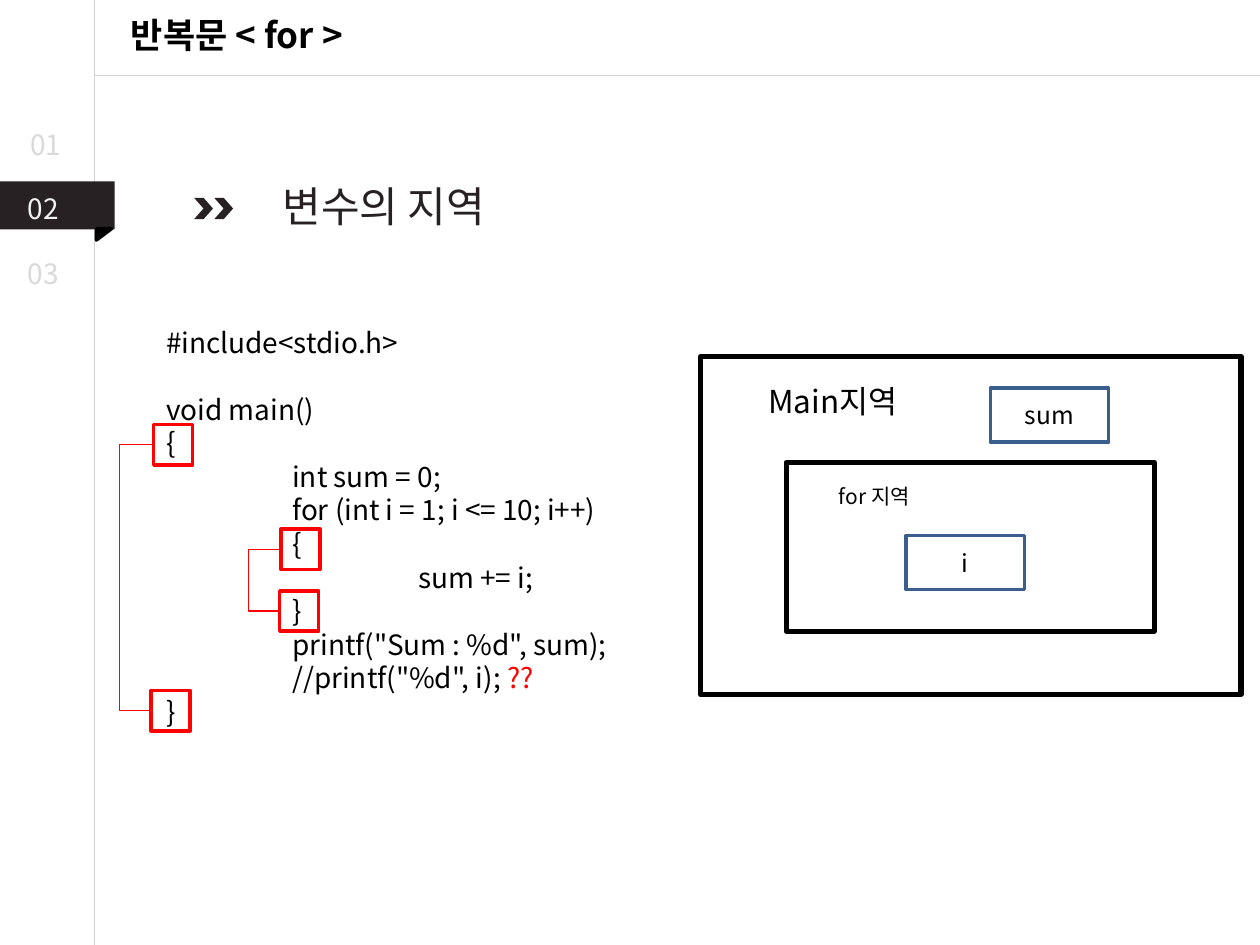
from lxml import etree
from pptx import Presentation
from pptx.dml.color import RGBColor
from pptx.enum.shapes import MSO_CONNECTOR, MSO_SHAPE
from pptx.enum.text import MSO_ANCHOR, MSO_AUTO_SIZE, PP_ALIGN
from pptx.oxml.ns import qn
from pptx.util import Inches, Pt

RECTANGLE = MSO_SHAPE.RECTANGLE
TRIANGLE = MSO_SHAPE.RIGHT_TRIANGLE
CHEVRON = MSO_SHAPE.CHEVRON
STRAIGHT = MSO_CONNECTOR.STRAIGHT
ELBOW = MSO_CONNECTOR.ELBOW
LEFT = PP_ALIGN.LEFT
CENTER = PP_ALIGN.CENTER
TOP = MSO_ANCHOR.TOP
MIDDLE = MSO_ANCHOR.MIDDLE
NO_AUTOFIT = MSO_AUTO_SIZE.NONE

FONT = "Noto Sans CJK KR"
BLACK = "000000"
DARK = "272123"
RED = "FF0000"
BLUE = "3A5F8C"
WHITE = "FFFFFF"
RULE_GRAY = "D2D2D2"
NUMBER_GRAY = "D9D9D9"

CODE_LINE = 19.2
CODE = [
    (0, "#include<stdio.h>"),
    (0, "void main()"),
    (0, "{"),
    (1, "int sum = 0;"),
    (1, "for (int i = 1; i <= 10; i++)"),
    (1, "{"),
    (2, "sum += i;"),
    (1, "}"),
    (1, 'printf("Sum : %d", sum);'),
    (1, '//printf("%d", i); '),
    (0, "}"),
]
BRACE_PAIRS = [
    ((1.22, 3.37), (1.2, 5.48), 0.95),
    ((2.23, 4.2), (2.22, 4.69), 1.97),
]
BRACE_WIDTH, BRACE_HEIGHT = 0.31, 0.32


def color(value):
    return RGBColor.from_string(value)


def place(shape, left, top, width, height):
    shape.left, shape.top = Inches(left), Inches(top)
    shape.width, shape.height = Inches(width), Inches(height)


def add_run(paragraph, text, size=16, fill=BLACK, bold=False):
    run = paragraph.add_run()
    run.text = text
    run.font.size = Pt(size)
    run.font.bold = bold
    run.font.color.rgb = color(fill)
    run.font.name = FONT
    latin = run.font._element.find(qn("a:latin"))
    latin.addnext(latin.makeelement(qn("a:ea"), {"typeface": FONT}))


def write(shape, text, align=LEFT, anchor=TOP, **font):
    frame = shape.text_frame
    frame.word_wrap = True
    frame.auto_size = NO_AUTOFIT
    frame.vertical_anchor = anchor
    paragraph = frame.paragraphs[0]
    paragraph.alignment = align
    add_run(paragraph, text, **font)


def add_label(slide, text, box, **text_format):
    shape = slide.shapes.add_textbox(*map(Inches, box))
    write(shape, text, **text_format)


def add_box(slide, kind, box, fill=None, line=None, line_width=2):
    shape = slide.shapes.add_shape(kind, *map(Inches, box))
    shape.shadow.inherit = False
    if fill:
        shape.fill.solid()
        shape.fill.fore_color.rgb = color(fill)
    else:
        shape.fill.background()
    if line:
        shape.line.color.rgb = color(line)
        shape.line.width = Pt(line_width)
    else:
        shape.line.fill.background()
    return shape


def add_line(slide, kind, start, end, line):
    connector = slide.shapes.add_connector(kind, *map(Inches, start + end))
    connector.line.color.rgb = color(line)
    connector.line.width = Pt(0.75)
    etree.SubElement(connector._element.spPr, qn("a:effectLst"))
    return connector


def add_bracket(slide, start, end, bend_x):
    connector = add_line(slide, ELBOW, start, end, RED)
    ratio = (start[0] - bend_x) / (start[0] - end[0])
    geometry = connector._element.spPr.find(qn("a:prstGeom"))
    adjustments = geometry.get_or_add_avLst()
    etree.SubElement(adjustments, qn("a:gd"), name="adj1",
                     fmla=f"val {round(ratio * 100000)}")


def fill_code(body):
    place(body, 1.22, 2.53, 7.95, 3.33)
    frame = body.text_frame
    frame.word_wrap = True
    frame.auto_size = NO_AUTOFIT
    frame.vertical_anchor = TOP
    for index, (depth, text) in enumerate(CODE):
        paragraph = frame.add_paragraph() if index else frame.paragraphs[0]
        paragraph.alignment = LEFT
        paragraph.line_spacing = Pt(CODE_LINE)
        paragraph.space_before = Pt(CODE_LINE if index == 1 else 0)
        properties = paragraph._element.get_or_add_pPr()
        properties.set("marL", str(Inches(depth)))
        properties.set("indent", "0")
        etree.SubElement(properties, qn("a:buNone"))
        add_run(paragraph, text)
        if text.startswith("//"):
            add_run(paragraph, "??", fill=RED)


def add_navigation(slide):
    add_line(slide, STRAIGHT, (0.75, 0), (0.75, 7.5), RULE_GRAY)
    add_line(slide, STRAIGHT, (0.75, 0.6), (10, 0.6), RULE_GRAY)
    add_box(slide, RECTANGLE, (0, 1.44, 0.91, 0.38), fill=DARK)
    fold = add_box(slide, TRIANGLE, (0.78, 1.8, 0.09, 0.12), BLACK, BLACK)
    fold.rotation = 90
    add_label(slide, "01", (0.14, 0.96, 0.59, 0.37), fill=NUMBER_GRAY)
    add_label(slide, "02", (0.12, 1.47, 0.49, 0.37), fill="F2F2F2")
    add_label(slide, "03", (0.12, 1.99, 0.49, 0.37), fill=NUMBER_GRAY)


def add_heading(slide):
    add_label(slide, "변수의 지역", (1.35, 1.38, 3.39, 0.5),
              align=CENTER, size=24, fill=DARK)
    for left in (1.54, 1.7):
        add_box(slide, CHEVRON, (left, 1.57, 0.15, 0.17), fill=DARK)


def add_brace_marks(slide):
    for opening, closing, bend_x in BRACE_PAIRS:
        for corner in (opening, closing):
            add_box(slide, RECTANGLE, (*corner, BRACE_WIDTH, BRACE_HEIGHT), line=RED)
        start, end = [(left, top + BRACE_HEIGHT / 2)
                      for left, top in (opening, closing)]
        add_bracket(slide, start, end, bend_x)


def add_scope_diagram(slide):
    for box in ((5.56, 2.83, 4.29, 2.68), (6.24, 3.67, 2.92, 1.34)):
        add_box(slide, RECTANGLE, box, line=BLACK, line_width=3)
    add_label(slide, "Main지역", (5.81, 2.91, 1.6, 0.54),
              align=CENTER, anchor=MIDDLE, size=18)
    add_label(slide, "for 지역", (6.46, 3.8, 0.96, 0.27),
              align=CENTER, anchor=MIDDLE, size=12)
    for name, left, top in (("sum", 7.86, 3.08), ("i", 7.19, 4.25)):
        variable = add_box(slide, RECTANGLE, (left, top, 0.94, 0.43), WHITE, BLUE)
        write(variable, name, align=CENTER, anchor=MIDDLE, size=14)


def main():
    presentation = Presentation()
    presentation.slide_width = Inches(10)
    presentation.slide_height = Inches(7.5)
    slide = presentation.slides.add_slide(presentation.slide_layouts[1])
    title = slide.shapes.title
    place(title, 0.81, 0.06, 2.14, 0.44)
    write(title, "반복문 < for >", align=CENTER, size=20, bold=True)
    fill_code(slide.placeholders[1])
    add_navigation(slide)
    add_heading(slide)
    add_brace_marks(slide)
    add_scope_diagram(slide)
    presentation.save("out.pptx")


if __name__ == "__main__":
    main()
